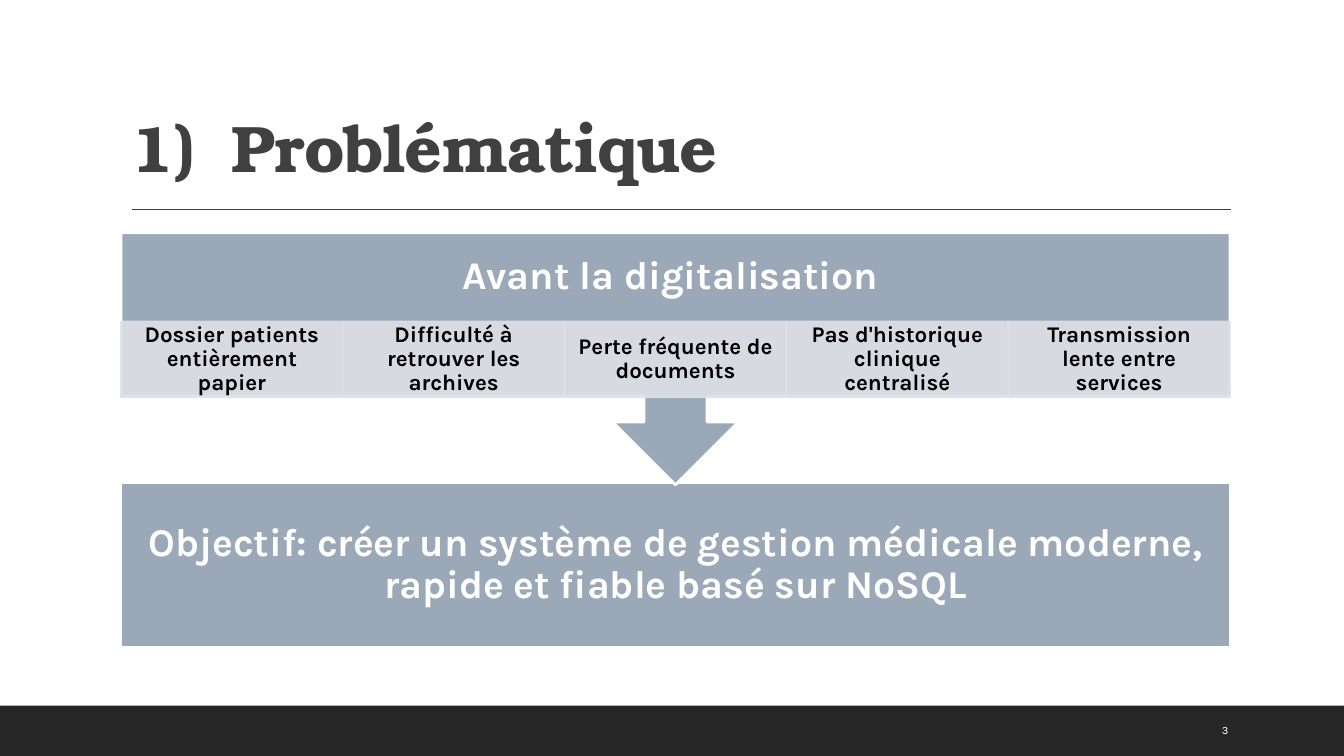
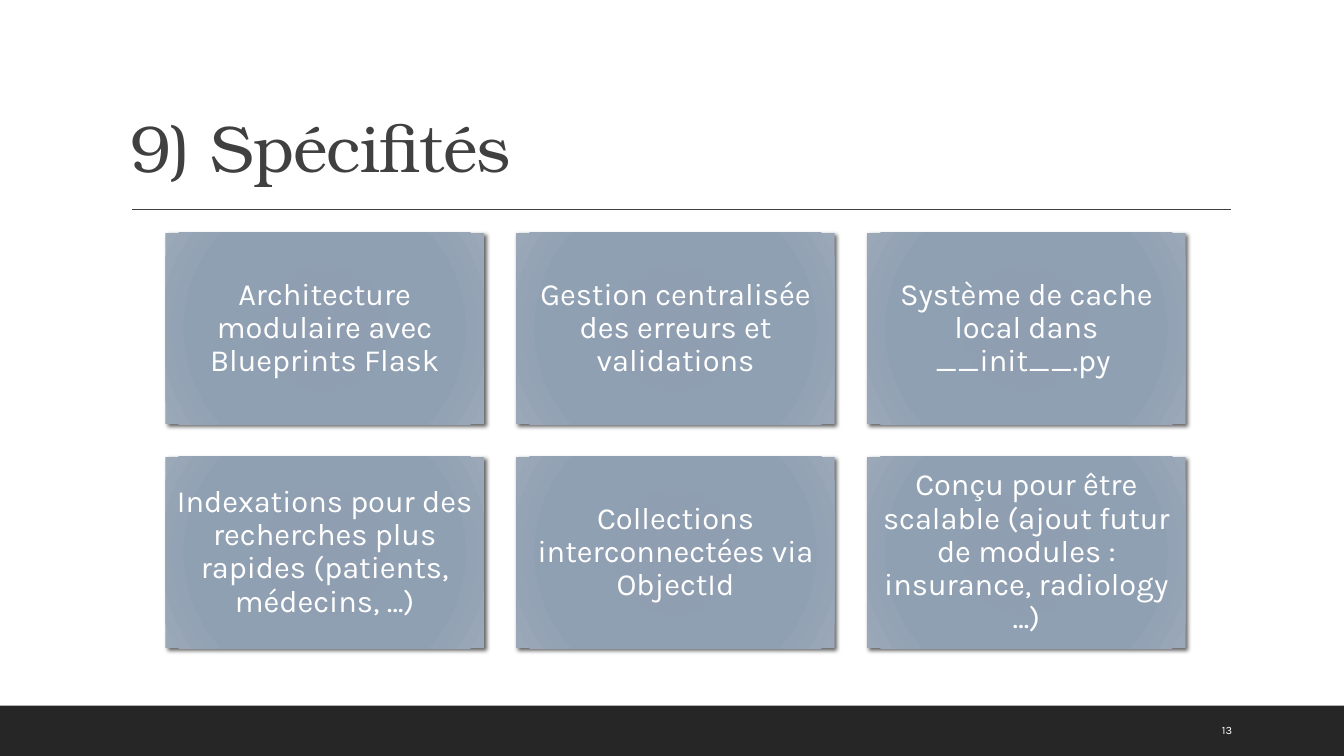
from dataclasses import dataclass
from typing import Any, Optional

from lxml import etree
from pptx import Presentation
from pptx.dml.color import RGBColor
from pptx.enum.shapes import MSO_CONNECTOR, MSO_SHAPE
from pptx.enum.text import MSO_ANCHOR, PP_ALIGN
from pptx.oxml.ns import qn
from pptx.util import Inches, Pt

RECT = MSO_SHAPE.RECTANGLE
CALL = MSO_SHAPE.UP_ARROW_CALLOUT
LINE = MSO_CONNECTOR.STRAIGHT
MID, BASE = MSO_ANCHOR.MIDDLE, MSO_ANCHOR.BOTTOM
START, CENTER = PP_ALIGN.LEFT, PP_ALIGN.CENTER

WIDE, HIGH = 13.33, 7.5
LEFT, SPAN, TOP = 1.2, 11, 2.31
SANS, SERIF = "Karla", "TeX Gyre Bonum"
HUE = {
    "page": "FFFFFF",
    "band": "262626",
    "ink": "404040",
    "slate": "9BA8B7",
    "pale": "DEE1E6",
    "black": "000000",
    "white": "FFFFFF",
}
GLOW = ((0, "8D9CAE"), (34, "8F9EB0"), (70, "90A0B3"), (100, "9AA8B8"))
ISSUES = (
    "Dossier patients entièrement papier",
    "Difficulté à retrouver les archives",
    "Perte fréquente de documents",
    "Pas d'historique clinique centralisé",
    "Transmission lente entre services",
)
TRAITS = (
    "Architecture modulaire avec Blueprints Flask",
    "Gestion centralisée des erreurs et validations",
    "Système de cache local dans __init__.py ",
    "Indexations pour des recherches plus rapides (patients, médecins, …)",
    "Collections interconnectées via ObjectId",
    "Conçu pour être scalable (ajout futur de modules : insurance, radiology …)",
)


@dataclass(frozen=True)
class Box:
    x: float
    y: float
    w: float
    h: float

    def emu(self) -> list[int]:
        return [Inches(v) for v in (self.x, self.y, self.w, self.h)]


@dataclass(frozen=True)
class Grid:
    x: float
    y: float
    w: float
    h: float
    cols: int
    gap: float = 0

    def cell(self, i: int) -> Box:
        row, col = divmod(i, self.cols)
        return Box(self.x + col * (self.w + self.gap),
                   self.y + row * (self.h + self.gap), self.w, self.h)


@dataclass(frozen=True)
class Type:
    size: float
    hue: str
    bold: bool = False
    font: str = SANS
    align: Any = CENTER
    anchor: Any = MID
    side: float = 0.1
    edge: float = 0.05
    track: Optional[int] = None


HEAD = Type(47, "ink", font=SERIF, align=START, anchor=BASE, track=-50)
STRONG = Type(47, "ink", True, SERIF, START, BASE, track=-50)
FOOT = Type(8, "white", align=START)
BIG = Type(28, "white", True, side=0.22, edge=0.22)
SMALL = Type(16, "black", True, side=0.12, edge=0.02)
CARD = Type(22, "white", side=0.09, edge=0.09)


def rgb(name: str) -> RGBColor:
    return RGBColor.from_string(HUE[name])


def node(root: Any, tag: str, **attrs: Any) -> Any:
    return etree.SubElement(root, qn(tag), {k: str(v) for k, v in attrs.items()})


def write(shape: Any, text: str, kind: Type, count: bool = False) -> None:
    frame = shape.text_frame
    frame.word_wrap = True
    frame.vertical_anchor = kind.anchor
    frame.margin_left = frame.margin_right = Inches(kind.side)
    frame.margin_top = frame.margin_bottom = Inches(kind.edge)
    para = frame.paragraphs[0]
    para.alignment = kind.align
    para.line_spacing = 0.9
    if count:
        props = para._p.get_or_add_pPr()
        props.set("marL", str(Inches(1)))
        props.set("indent", str(-Inches(1)))
        node(props, "a:buFont", typeface="+mj-lt")
        node(props, "a:buAutoNum", type="arabicParenR")
    run = para.add_run()
    run.text = text
    font = run.font
    font.name, font.size, font.bold = kind.font, Pt(kind.size), kind.bold
    font.color.rgb = rgb(kind.hue)
    if kind.track is not None:
        run._r.get_or_add_rPr().set("spc", str(kind.track))


def label(slide: Any, box: Box, text: str, kind: Type, count: bool = False) -> None:
    write(slide.shapes.add_textbox(*box.emu()), text, kind, count)


def block(slide: Any, box: Box, fill: str, edge: Optional[str] = None,
          width: float = 2, form: Any = RECT) -> Any:
    shape = slide.shapes.add_shape(form, *box.emu())
    shape.shadow.inherit = False
    shape.fill.solid()
    shape.fill.fore_color.rgb = rgb(fill)
    if edge:
        shape.line.color.rgb = rgb(edge)
        shape.line.width = Pt(width)
    else:
        shape.line.fill.background()
    return shape


def fade(shape: Any, share: int) -> None:
    for tone in shape.element.spPr.iter(qn("a:srgbClr")):
        node(tone, "a:alpha", val=share * 1000)


def card(slide: Any, box: Box, text: str) -> None:
    shape = slide.shapes.add_shape(RECT, *box.emu())
    shape.fill.background()
    shape.line.fill.background()
    props = shape.element.spPr
    grad = etree.Element(qn("a:gradFill"), rotWithShape="1")
    stops = node(grad, "a:gsLst")
    for place, tone in GLOW:
        node(node(stops, "a:gs", pos=place * 1000), "a:srgbClr", val=tone)
    ring = node(grad, "a:path", path="circle")
    node(ring, "a:fillToRect", **dict.fromkeys("ltrb", 100000))
    props.replace(props.find(qn("a:noFill")), grad)
    shade = node(node(props, "a:effectLst"), "a:outerShdw", blurRad=Pt(3),
                 dist=Pt(2), dir=45 * 60000, algn="ctr", rotWithShape=0)
    node(node(shade, "a:srgbClr", val=HUE["black"]), "a:alpha", val=60000)
    write(shape, text, CARD)


def start(deck: Any, title: str, page: str, kind: Type, count: bool = False) -> Any:
    slide = deck.slides.add_slide(deck.slide_layouts[6])
    slide.background.fill.solid()
    slide.background.fill.fore_color.rgb = rgb("page")
    block(slide, Box(0, HIGH - 0.5, WIDE, 0.5), "band")
    rule = slide.shapes.add_connector(
        LINE, *(Inches(v) for v in (1.31, 2.08, 12.21, 2.08)))
    rule.line.color.rgb = rgb("ink")
    rule.line.width = Pt(1)
    node(rule.element.spPr, "a:effectLst")
    label(slide, Box(LEFT, 0.31, SPAN, 1.59), title, kind, count)
    label(slide, Box(12.02, 7.05, 0.85, 0.4), page, FOOT)
    return slide


def issues(deck: Any) -> None:
    slide = start(deck, "Problématique", "3", STRONG, True)
    goal = block(slide, Box(LEFT, 4.79, SPAN, 1.63), "slate", "white")
    write(goal, "Objectif: créer un système de gestion médicale moderne, "
                "rapide et fiable basé sur NoSQL", BIG)
    arrow = block(slide, Box(LEFT, TOP, SPAN, 2.5), "slate", "white", form=CALL)
    arrow.rotation = 180
    label(slide, Box(LEFT, TOP, SPAN, 0.88), "Avant la digitalisation ", BIG)
    grid = Grid(LEFT, 3.19, SPAN / len(ISSUES), 0.75, len(ISSUES))
    for i, text in enumerate(ISSUES):
        shape = block(slide, grid.cell(i), "pale", "pale", 1.25)
        fade(shape, 90)
        write(shape, text, SMALL)


def traits(deck: Any) -> None:
    slide = start(deck, "9) Spécifités", "13", HEAD)
    grid = Grid(1.64, TOP, 3.16, 1.9, 3, 0.32)
    for i, text in enumerate(TRAITS):
        card(slide, grid.cell(i), text)


def main() -> None:
    deck = Presentation()
    deck.slide_width, deck.slide_height = Inches(WIDE), Inches(HIGH)
    issues(deck)
    traits(deck)
    deck.save("out.pptx")


if __name__ == "__main__":
    main()
